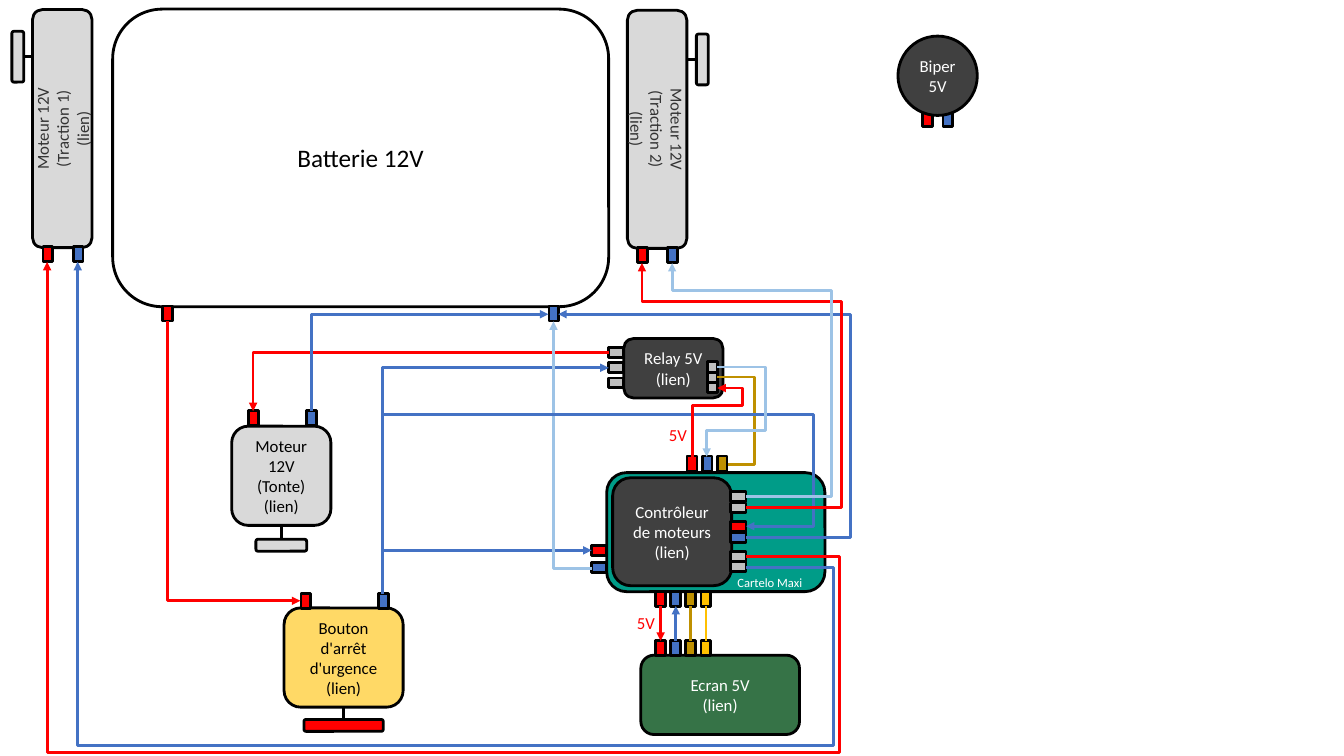
from pptx import Presentation
from pptx.dml.color import RGBColor
from pptx.enum.shapes import MSO_CONNECTOR as LINK, MSO_SHAPE as SHAPE
from pptx.enum.text import MSO_ANCHOR as ANCHOR, PP_ALIGN as ALIGN
from pptx.oxml.ns import qn
from pptx.util import Cm, Pt
from lxml.etree import SubElement

COLOURS = {
    "black": "000000", "white": "FFFFFF", "ink": "333333", "dark": "404040",
    "light grey": "D9D9D9", "grey": "BFBFBF", "red": "FF0000", "blue": "4472C4",
    "pale blue": "9DC3E6", "brown": "BF9000", "yellow": "FFC000",
    "sand": "FFD966", "green": "367347", "teal": "009C88",
}

deck = Presentation()
deck.slide_width, deck.slide_height = Cm(33.87), Cm(19.05)
slide = deck.slides.add_slide(deck.slide_layouts[6])
shapes = slide.shapes


def add_part(kind, left, top, width, height, fill, text="", ink="black", size=12, turn=0):
    part = shapes.add_shape(kind, Cm(left), Cm(top), Cm(width), Cm(height))
    part.shadow.inherit = False
    part.rotation = turn
    part.fill.solid()
    part.fill.fore_color.rgb = RGBColor.from_string(COLOURS[fill])
    part.line.color.rgb = RGBColor.from_string(COLOURS["black"])
    part.line.width = Pt(2)
    if text:
        part.text_frame.text = text
        part.text_frame.vertical_anchor = ANCHOR.MIDDLE
        for paragraph in part.text_frame.paragraphs:
            paragraph.alignment = ALIGN.CENTER
            paragraph.font.name = "Calibri"
            paragraph.font.size = Pt(size)
            paragraph.font.color.rgb = RGBColor.from_string(COLOURS[ink])


def add_wire(colour, points, arrow=True):
    (x0, y0), (x1, y1) = points[0], points[-1]
    segments = len(points) - 1
    if segments == 1:
        wire = shapes.add_connector(LINK.STRAIGHT, Cm(x0), Cm(y0), Cm(x1), Cm(y1))
    else:
        upright = points[1][0] == x0
        path = [(y, -x) if upright else (x, y) for x, y in points]
        (u0, v0), (u1, v1) = path[0], path[-1]
        width, height = abs(u1 - u0), abs(v1 - v0)
        left, top = (x0 + x1 - width) / 2, (y0 + y1 - height) / 2
        wire = shapes.add_connector(
            LINK.ELBOW, Cm(left), Cm(top), Cm(left + width), Cm(top + height))
        frame = wire._element.spPr.find(qn("a:xfrm"))
        frame.set("rot", "5400000" if upright else "0")
        frame.set("flipH", str(int(u1 < u0)))
        frame.set("flipV", str(int(v1 < v0)))
        geometry = wire._element.spPr.find(qn("a:prstGeom"))
        geometry.set("prst", f"bentConnector{segments}")
        bends = [(path[1][0] - u0) / (u1 - u0), (path[2][1] - v0) / (v1 - v0)]
        for number, bend in enumerate(bends[:segments - 2], 1):
            SubElement(geometry.find(qn("a:avLst")), qn("a:gd"),
                       name=f"adj{number}", fmla=f"val {round(bend * 100000)}")
    wire.line.color.rgb = RGBColor.from_string(COLOURS[colour])
    wire.line.width = Pt(2)
    if arrow:
        SubElement(wire._element.spPr.find(qn("a:ln")), qn("a:tailEnd"), type="triangle")
    SubElement(wire._element.spPr, qn("a:effectLst"))


wheels = [
    (0.3, 0.79, 0.3, 1.28, "light grey"),
    (17.55, 0.86, 0.3, 1.28, "light grey"),
    (6.45, 13.59, 1.28, 0.3, "light grey"),
    (7.66, 18.13, 2, 0.3, "red"),
]
for wheel in wheels:
    add_part(SHAPE.ROUNDED_RECTANGLE, *wheel)

shafts = [
    [(0.61, 1.42), (0.84, 1.42)],
    [(17.55, 1.5), (17.32, 1.5)],
    [(7.09, 13.59), (7.09, 13.23)],
    [(8.66, 18.13), (8.66, 17.83)],
]
for shaft in shafts:
    add_wire("black", shaft, arrow=False)

modules = [
    (-1.43, 2.49, 6, 1.5, "light grey", "Moteur 12V\v(Traction 1)\v(lien)", "ink", 12, 270),
    (13.56, 2.51, 6, 1.5, "light grey", "Moteur 12V\v(Traction 2)\v(lien)", "ink", 12, 90),
    (5.84, 10.74, 2.5, 2.5, "light grey", "Moteur 12V\n(Tonte)\n(lien)"),
    (16.15, 16.51, 4, 2, "green", "Ecran 5V\n(lien)", "white"),
    (2.84, 0.23, 12.5, 7.5, "white", "Batterie 12V", "black", 18),
    (15.72, 8.53, 2.5, 1.5, "dark", "Relay 5V\v(lien)", "white"),
    (7.16, 15.32, 3, 2.5, "sand", "Bouton d'arrêt d'urgence\n(lien)"),
    (15.29, 11.91, 5.5, 3, "teal"),
    (15.44, 12.04, 3, 2.72, "dark", "Contrôleur de moteurs\n(lien)", "white"),
]
for module in modules:
    add_part(SHAPE.ROUNDED_RECTANGLE, *module)

upright, flat, square = (0.25, 0.38), (0.38, 0.25), (0.26, 0.26)
bus = ["red", "blue", "brown", "yellow"]
terminals = [
    (1.21, 6.4, 0.76, 0, upright, bus[:2]),
    (16.19, 6.43, 0.76, 0, upright, bus[:2]),
    (6.39, 10.54, 1.47, 0, upright, bus[:2]),
    (4.23, 7.9, 9.73, 0, upright, bus[:2]),
    (7.71, 15.14, 1.95, 0, upright, bus[:2]),
    (23.38, 3, 0.51, 0, upright, bus[:2]),
    (16.65, 16.33, 0.38, 0, upright, bus),
    (16.65, 15.09, 0.38, 0, upright, bus),
    (17.44, 11.68, 0.38, 0, upright, bus[:3]),
    (15.1, 13.87, 0, 0.43, flat, bus[:2]),
    (15.53, 8.89, 0, 0.38, flat, ["grey"] * 3),
    (17.96, 9.25, 0, 0.26, square, ["grey"] * 3),
    (18.61, 12.52, 0, 0.28, flat, ["grey"] * 2),
    (18.61, 13.26, 0, 0.28, flat, bus[:2]),
    (18.61, 14.02, 0, 0.26, flat, ["grey"] * 2),
]
for x, y, step_x, step_y, (width, height), fills in terminals:
    for index, fill in enumerate(fills):
        add_part(SHAPE.RECTANGLE, x + index * step_x - width / 2,
                 y + index * step_y - height / 2, width, height, fill)

add_part(SHAPE.OVAL, 22.63, 0.91, 2, 2, "dark", "Biper 5V", "white")

add_wire("brown", [(17.41, 15.27), (17.41, 16.15)], arrow=False)
add_wire("yellow", [(17.79, 15.27), (17.79, 16.15)], arrow=False)
add_wire("brown", [(18.08, 9.5), (19.02, 9.5), (19.02, 11.71), (18.34, 11.71)], arrow=False)

wires = [
    ("blue", [(17.03, 16.15), (17.03, 15.27)]),
    ("red", [(16.65, 15.27), (16.65, 16.15)]),
    ("red", [(4.22, 8.1), (4.22, 15.14), (7.57, 15.14)]),
    ("blue", [(9.65, 14.96), (9.65, 13.87), (14.91, 13.87)]),
    ("blue", [(9.65, 14.96), (9.65, 9.27), (15.34, 9.27)]),
    ("red", [(15.34, 8.89), (6.38, 8.89), (6.38, 10.36)]),
    ("blue", [(7.85, 10.36), (7.85, 7.92), (13.82, 7.92)]),
    ("pale blue", [(14.91, 14.33), (13.95, 14.33), (13.95, 8.1)]),
    ("blue", [(9.65, 14.96), (9.65, 10.44), (20.5, 10.44), (20.5, 13.26), (18.8, 13.26)]),
    ("blue", [(18.8, 13.54), (21.44, 13.54), (21.44, 7.92), (14.07, 7.92)]),
    ("red", [(18.8, 12.8), (21.21, 12.8), (21.21, 7.59), (16.18, 7.59), (16.18, 6.63)]),
    ("pale blue", [(18.8, 12.52), (20.96, 12.52), (20.96, 7.32), (16.94, 7.32), (16.94, 6.63)]),
    ("red", [(18.8, 14.02), (21.16, 14.02), (21.16, 18.97), (1.19, 18.97), (1.19, 6.6)]),
    ("blue", [(18.8, 14.3), (21.01, 14.3), (21.01, 18.8), (1.96, 18.8), (1.96, 6.6)]),
    ("red", [(17.45, 11.51), (17.45, 10.21), (18.72, 10.21), (18.72, 9.78), (18.08, 9.78)]),
    ("pale blue", [(18.08, 9.25), (19.3, 9.25), (19.3, 10.85), (17.81, 10.85), (17.81, 11.51)]),
]
for colour, points in wires:
    add_wire(colour, points)

labels = [
    ("5V", 15.8, 15.32, 0.97, 0.76, "red", 12, False, ALIGN.LEFT),
    ("5V", 16.61, 10.57, 0.97, 0.76, "red", 12, False, ALIGN.LEFT),
    ("Cartelo Maxi", 18.08, 14.35, 2.64, 0.64, "white", 9, True, ALIGN.CENTER),
]
for text, left, top, width, height, ink, size, wrap, alignment in labels:
    label = shapes.add_textbox(Cm(left), Cm(top), Cm(width), Cm(height))
    label.text_frame.word_wrap = wrap
    paragraph = label.text_frame.paragraphs[0]
    paragraph.text = text
    paragraph.alignment = alignment
    paragraph.font.name = "Calibri"
    paragraph.font.size = Pt(size)
    paragraph.font.color.rgb = RGBColor.from_string(COLOURS[ink])

deck.save("out.pptx")
